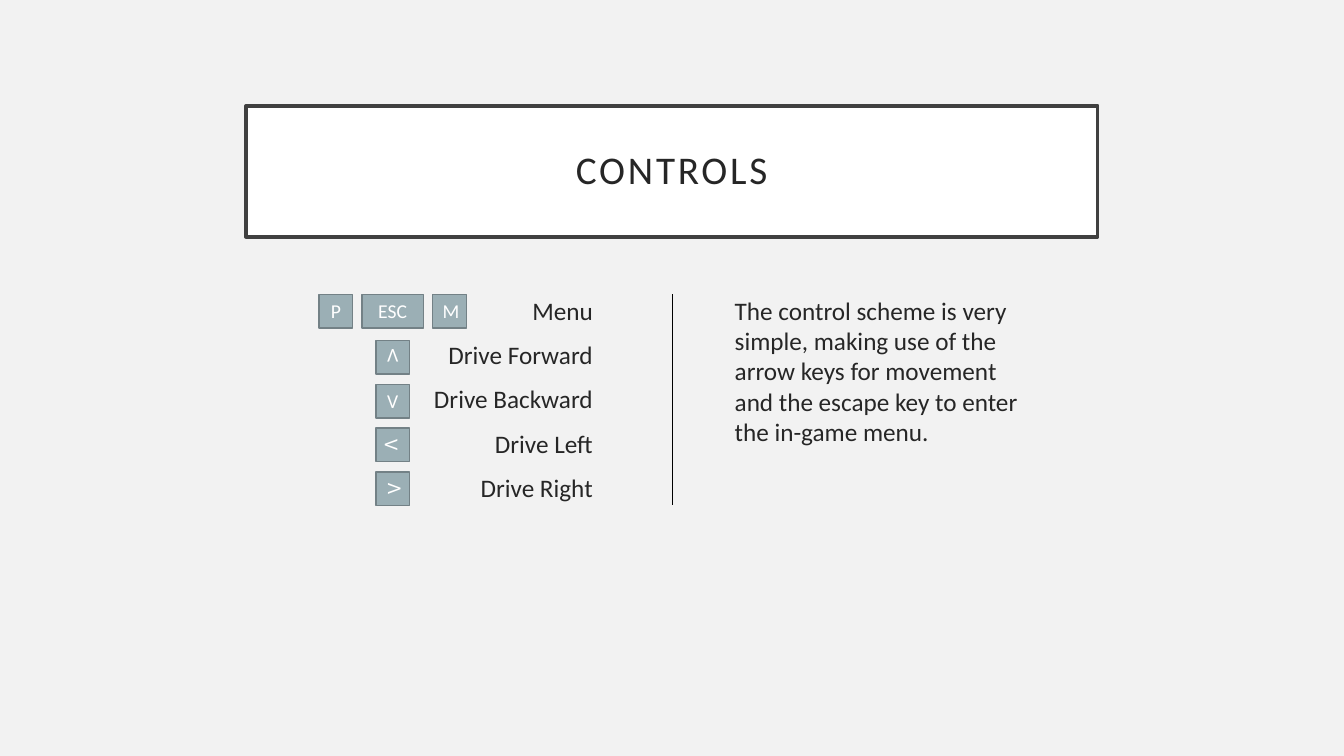
from pptx import Presentation
from pptx.dml.color import RGBColor
from pptx.enum.shapes import MSO_CONNECTOR, MSO_SHAPE
from pptx.enum.text import MSO_ANCHOR, PP_ALIGN
from pptx.oxml.ns import qn
from pptx.util import Pt
from lxml.etree import SubElement

COLORS = {
    "background": "F2F2F2",
    "panel": "FFFFFF",
    "frame": "404040",
    "text": "262626",
    "key": "9BAFB5",
    "key_edge": "738186",
    "key_text": "FFFFFF",
    "divider": "000000",
}
KEY_SIZE = 24
ESC_WIDTH = 44
KEY_GAP = 6.6
ACTIONS = ["Menu", "Drive Forward", "Drive Backward", "Drive Left", "Drive Right"]
ARROW_ROTATIONS = [180, 0, 90, 270]
DESCRIPTION = (
    "The control scheme is very simple, making use of the arrow keys "
    "for movement and the escape key to enter the in-game menu."
)


def color(name):
    return RGBColor.from_string(COLORS[name])


def paint(box, fill, edge, width):
    box.fill.solid()
    box.fill.fore_color.rgb = color(fill)
    box.line.color.rgb = color(edge)
    box.line.width = Pt(width)


def format_paragraph(paragraph, size, ink, align):
    paragraph.alignment = align
    for run in paragraph.runs:
        run.font.name = "Calibri"
        run.font.size = Pt(size)
        run.font.color.rgb = color(ink)


def add_heading(slide, left, top, width, height):
    heading = slide.shapes.title
    heading.left, heading.top = Pt(left), Pt(top)
    heading.width, heading.height = Pt(width), Pt(height)
    paint(heading, "panel", "frame", 2.5)
    frame = heading.text_frame
    frame.text = "CONTROLS"
    frame.word_wrap = True
    frame.vertical_anchor = MSO_ANCHOR.MIDDLE
    frame.margin_left = frame.margin_right = Pt(14.4)
    frame.margin_top = frame.margin_bottom = Pt(14.4)
    paragraph = frame.paragraphs[0]
    paragraph.line_spacing = 0.9
    format_paragraph(paragraph, 28, "text", PP_ALIGN.CENTER)
    paragraph.runs[0].font._element.set("spc", "200")


def add_body(slide, lines, align, left, top, width, height):
    body = slide.shapes.add_textbox(Pt(left), Pt(top), Pt(width), Pt(height))
    frame = body.text_frame
    frame.word_wrap = True
    frame.text = "\n".join(lines)
    for paragraph in frame.paragraphs:
        paragraph.space_before = Pt(10)
        format_paragraph(paragraph, 18, "text", align)


def add_key(slide, label, center, top, width=KEY_SIZE, rotation=0):
    key = slide.shapes.add_shape(
        MSO_SHAPE.RECTANGLE, Pt(center - width / 2), Pt(top), Pt(width), Pt(KEY_SIZE)
    )
    key.shadow.inherit = False
    key.rotation = rotation
    paint(key, "key", "key_edge", 1)
    key.text_frame.text = label
    key.text_frame.vertical_anchor = MSO_ANCHOR.MIDDLE
    format_paragraph(key.text_frame.paragraphs[0], 14, "key_text", PP_ALIGN.CENTER)


def add_key_bindings(slide, left, top, width, height):
    add_body(slide, ACTIONS, PP_ALIGN.RIGHT, left, top, width, height)
    center = left + 60.2
    menu_top = top + 2.8
    offset = (ESC_WIDTH + KEY_SIZE) / 2 + KEY_GAP
    add_key(slide, "P", center - offset, menu_top)
    add_key(slide, "ESC", center, menu_top, ESC_WIDTH)
    add_key(slide, "M", center + offset, menu_top)
    for row, rotation in enumerate(ARROW_ROTATIONS):
        add_key(slide, "V", center, menu_top + 33 + row * 31.3, rotation=rotation)


def add_divider(slide, x, top, height):
    divider = slide.shapes.add_connector(
        MSO_CONNECTOR.STRAIGHT, Pt(x), Pt(top), Pt(x), Pt(top + height)
    )
    divider.line.color.rgb = color("divider")
    divider.line.width = Pt(0.5)
    SubElement(divider._element.spPr, qn("a:effectLst"))


def build_controls_slide(presentation):
    slide = presentation.slides.add_slide(presentation.slide_layouts[5])
    slide.background.fill.solid()
    slide.background.fill.fore_color.rgb = color("background")
    add_heading(slide, 175.7, 75.6, 608.4, 93.6)
    add_key_bindings(slide, 220.3, 207.4, 210.2, 244)
    add_divider(slide, 480, 210.2, 150.5)
    add_body(slide, [DESCRIPTION], PP_ALIGN.LEFT, 517.7, 207.4, 222.5, 244)


def main():
    presentation = Presentation()
    presentation.slide_width, presentation.slide_height = Pt(960), Pt(540)
    build_controls_slide(presentation)
    presentation.save("out.pptx")


if __name__ == "__main__":
    main()
